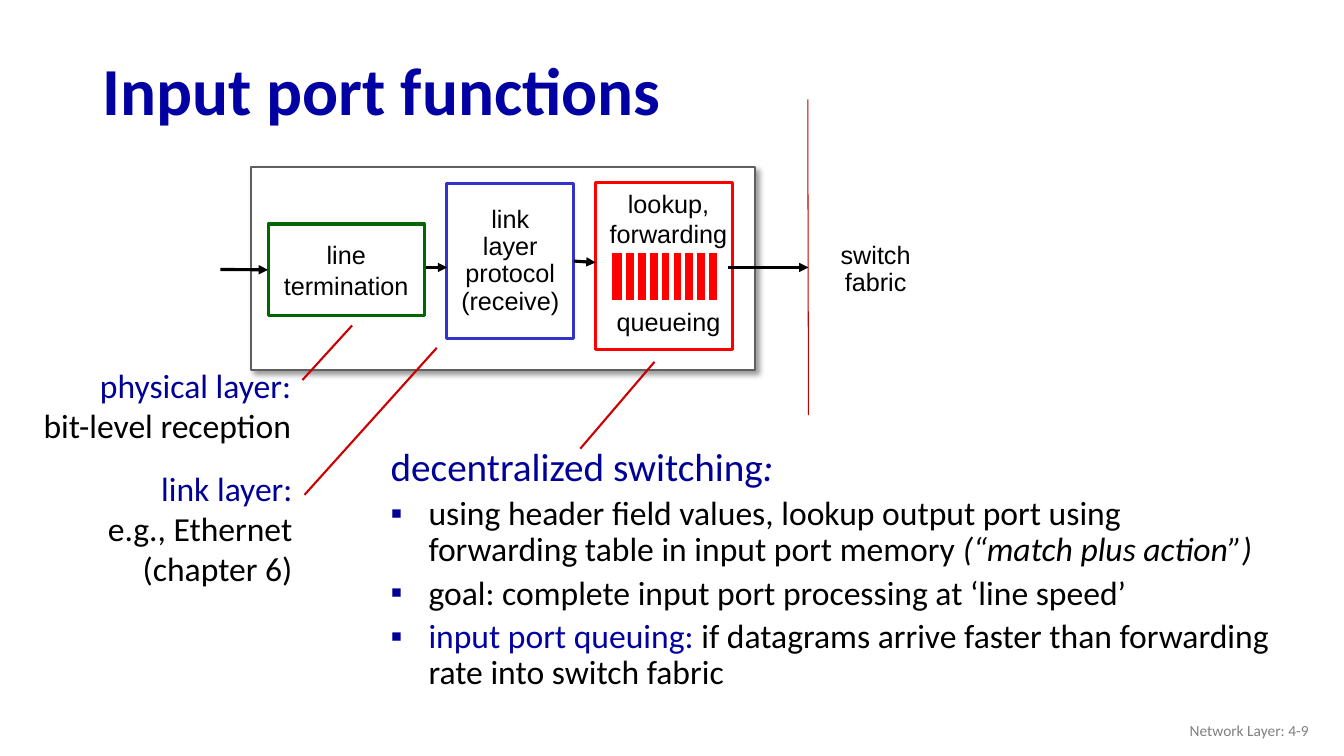
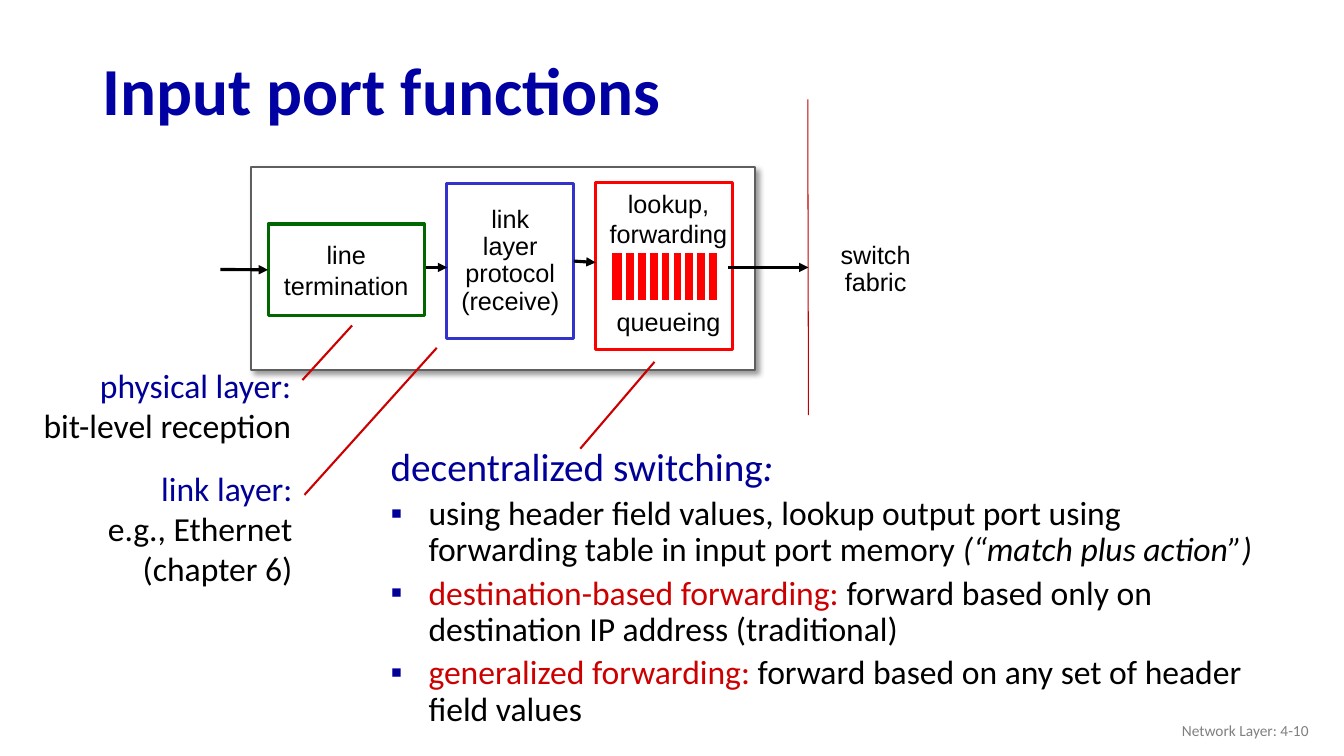
from lxml import etree
from pptx import Presentation
from pptx.dml.color import RGBColor
from pptx.enum.shapes import MSO_CONNECTOR, MSO_SHAPE
from pptx.enum.text import MSO_ANCHOR, PP_ALIGN
from pptx.oxml.ns import qn
from pptx.util import Pt

STRAIGHT = MSO_CONNECTOR.STRAIGHT
RECTANGLE = MSO_SHAPE.RECTANGLE
TOP, MIDDLE = MSO_ANCHOR.TOP, MSO_ANCHOR.MIDDLE
LEFT, CENTER, RIGHT = PP_ALIGN.LEFT, PP_ALIGN.CENTER, PP_ALIGN.RIGHT
LEFT_SIDE, RIGHT_SIDE = 1, 3

COLORS = {
    "title": "0000A3", "heading": "000099", "text": "000000", "white": "FFFFFF",
    "footer": "808080", "frame": "5F5F5F", "line": "006600", "link": "3333CC",
    "queue": "FF0000", "fabric": "C00000", "accent": "CC0000",
}
TITLE = {"name": "Calibri", "size": Pt(48), "bold": True}
HEADING = {"name": "Calibri", "size": Pt(28)}
BODY = {"name": "Calibri", "size": Pt(24)}
DIAGRAM = {"name": "Arial", "size": Pt(18)}
FOOTER = {"name": "Calibri", "size": Pt(11)}
TIGHT = {"line_spacing": 0.9}
BULLET_TEXT = {"line_spacing": 0.9, "space_before": Pt(5)}
HANGING = Pt(27)

MATCH_ACTION = [
    ("using header field values, lookup output port using forwarding table "
     "in input port memory ", "text", False),
    ("(“match plus action”)", "text", True),
]
PAGES = [
    ("4-9", [
        MATCH_ACTION,
        [("goal: complete input port processing at ‘line speed’", "text", False)],
        [("input port queuing: ", "title", False),
         ("if datagrams arrive faster than forwarding rate into switch fabric",
          "text", False)],
    ]),
    ("4-10", [
        MATCH_ACTION,
        [("destination-based forwarding: ", "accent", False),
         ("forward based only on destination IP address (traditional)",
          "text", False)],
        [("generalized forwarding: ", "accent", False),
         ("forward based on any set of header field values", "text", False)],
    ]),
]


def rgb(color):
    return RGBColor.from_string(COLORS[color])


def set_values(target, values):
    for name, value in values.items():
        setattr(target, name, value)


def add_child(parent, tag, **attributes):
    return etree.SubElement(parent, qn(tag), attributes)


def add_span(para, text, font, color, italic=False):
    span = para.add_run()
    span.text = text
    set_values(span.font, {**font, "italic": italic})
    span.font.color.rgb = rgb(color)


def write_lines(box, lines, font, align, anchor=TOP, spacing=None):
    """Write one paragraph for each (text, color) pair."""
    frame = box.text_frame
    set_values(frame, {"word_wrap": True, "vertical_anchor": anchor})
    for index, (text, color) in enumerate(lines):
        para = frame.add_paragraph() if index else frame.paragraphs[0]
        set_values(para, {"alignment": align, **(spacing or {})})
        add_span(para, text, font, color)


def add_text(page, place, lines, font, align, **options):
    box = page.shapes.add_textbox(*map(Pt, place))
    write_lines(box, lines, font, align, **options)


def add_box(page, place, fill="white", line=None, width=2.25, words=(), spacing=None):
    box = page.shapes.add_shape(RECTANGLE, *map(Pt, place))
    box.shadow.inherit = False
    box.fill.solid()
    box.fill.fore_color.rgb = rgb(fill)
    if line:
        box.line.color.rgb = rgb(line)
        box.line.width = Pt(width)
    else:
        box.line.fill.background()
    if words:
        set_values(box.text_frame, {"margin_left": 0, "margin_right": 0})
        write_lines(box, [(word, "text") for word in words], DIAGRAM, CENTER,
                    anchor=MIDDLE, spacing=spacing)
    return box


def add_line(page, start, end, color, width):
    line = page.shapes.add_connector(STRAIGHT, *map(Pt, (*start, *end)))
    line.line.color.rgb = rgb(color)
    line.line.width = Pt(width)
    add_child(line._element.spPr, "a:effectLst")
    return line


def add_arrow(page, start, end):
    arrow = add_line(page, start, end, "text", 2.25)
    add_child(arrow.line._get_or_add_ln(), "a:tailEnd", type="triangle")
    return arrow


def add_drop_shadow(box):
    effects = box._element.spPr.find(qn("a:effectLst"))
    shadow = add_child(effects, "a:outerShdw", blurRad=str(Pt(4)), dist=str(Pt(3)),
                       dir="2700000", algn="tl", rotWithShape="0")
    color = add_child(shadow, "a:srgbClr", val=COLORS["text"])
    add_child(color, "a:alpha", val="40000")


def add_bullet(para):
    properties = para._p.get_or_add_pPr()
    properties.set("marL", str(HANGING))
    properties.set("indent", str(-HANGING))
    color = add_child(properties, "a:buClr")
    add_child(color, "a:srgbClr", val=COLORS["heading"])
    add_child(properties, "a:buFont", typeface="Arial")
    add_child(properties, "a:buChar", char="▪")


def add_queue(page):
    top, height = 179.5, 36.5
    add_box(page, (435.5, top, 78.5, height), "queue", "white", 3)
    for index in range(8):
        x = 446 + 8.4 * index
        add_line(page, (x, top + 0.5), (x, top + height - 0.5), "white", 3)


def add_lookup_box(page):
    box = add_box(page, (425.5, 130.5, 98, 119), line="queue",
                  words=["lookup,", "forwarding", "queueing"])
    set_values(box.text_frame, {"vertical_anchor": TOP, "margin_left": Pt(6),
                                "margin_top": Pt(4)})
    box.text_frame.paragraphs[-1].space_before = Pt(41.4)
    add_queue(page)


def add_port_diagram(page):
    add_drop_shadow(add_box(page, (179.5, 119.5, 360, 145), line="frame", width=1.5))
    termination = add_box(page, (191.5, 160, 111.5, 65.5), line="line",
                          words=["line", "termination"])
    protocol = add_box(page, (319, 131, 91, 111), line="link", spacing=TIGHT,
                       words=["link", "layer", "protocol", "(receive)"])
    add_lookup_box(page)
    add_box(page, (584, 160, 83, 65.5), words=["switch", "fabric"], spacing=TIGHT)
    add_line(page, (577, 71), (577.5, 296.5), "fabric", 0.75)

    add_arrow(page, (157.5, 192.5), (191.5, 192.5)).end_connect(termination, LEFT_SIDE)
    add_arrow(page, (304.5, 191), (319.5, 191))
    add_arrow(page, (410, 187), (425.5, 187.5)).begin_connect(protocol, RIGHT_SIDE)
    add_arrow(page, (520, 191), (577.5, 191))


def add_layer_notes(page):
    add_text(page, (15, 257, 200, 65.5),
             [("physical layer:", "heading"), ("bit-level reception", "text")],
             BODY, RIGHT)
    add_text(page, (68, 330.5, 148, 94.5),
             [("link layer:", "heading"), ("e.g., Ethernet", "text"),
              ("(chapter 6)", "text")], BODY, RIGHT)
    callouts = [((216, 271.5), (251.5, 232.5)), ((217.5, 353.5), (312, 248.5)),
                ((414.5, 320.5), (467.5, 258.5))]
    for start, end in callouts:
        add_line(page, start, end, "accent", 1.5)


def add_switching_notes(page, bullets):
    box = page.shapes.add_textbox(*map(Pt, (272, 316, 645, 210)))
    write_lines(box, [("decentralized switching", "heading")], HEADING, LEFT,
                spacing=BULLET_TEXT)
    add_span(box.text_frame.paragraphs[0], ":", HEADING, "heading", italic=True)
    for spans in bullets:
        para = box.text_frame.add_paragraph()
        set_values(para, BULLET_TEXT)
        add_bullet(para)
        for text, color, italic in spans:
            add_span(para, text, BODY, color, italic)


def add_page(deck, number, bullets):
    page = deck.slides.add_slide(deck.slide_layouts[6])
    add_text(page, (66, 32, 828, 70.5), [("Input port functions", "title")], TITLE,
             LEFT, anchor=MIDDLE, spacing=TIGHT)
    add_port_diagram(page)
    add_layer_notes(page)
    add_switching_notes(page, bullets)
    add_text(page, (726, 507.5, 216, 29), [(f"Network Layer: {number}", "footer")],
             FOOTER, RIGHT, anchor=MIDDLE)


def main():
    deck = Presentation()
    set_values(deck, {"slide_width": Pt(960), "slide_height": Pt(540)})
    for number, bullets in PAGES:
        add_page(deck, number, bullets)
    deck.save("out.pptx")


if __name__ == "__main__":
    main()
